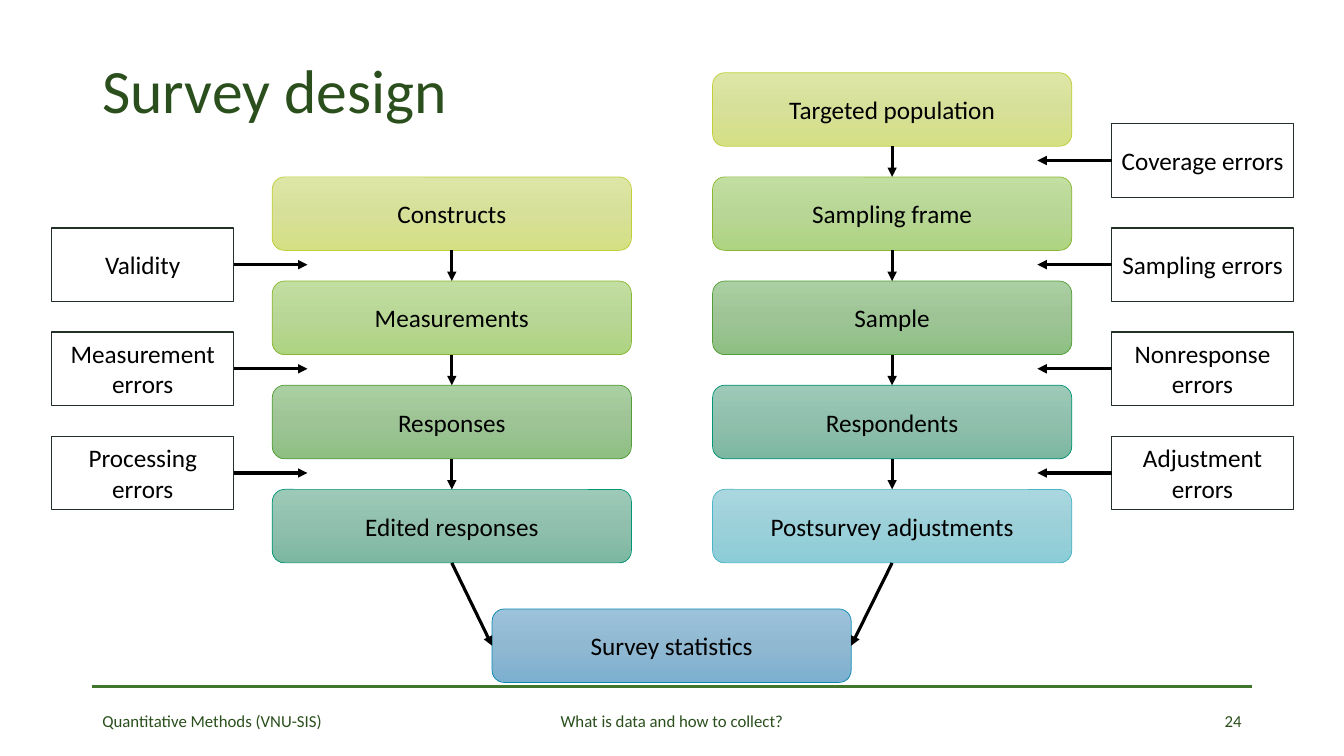
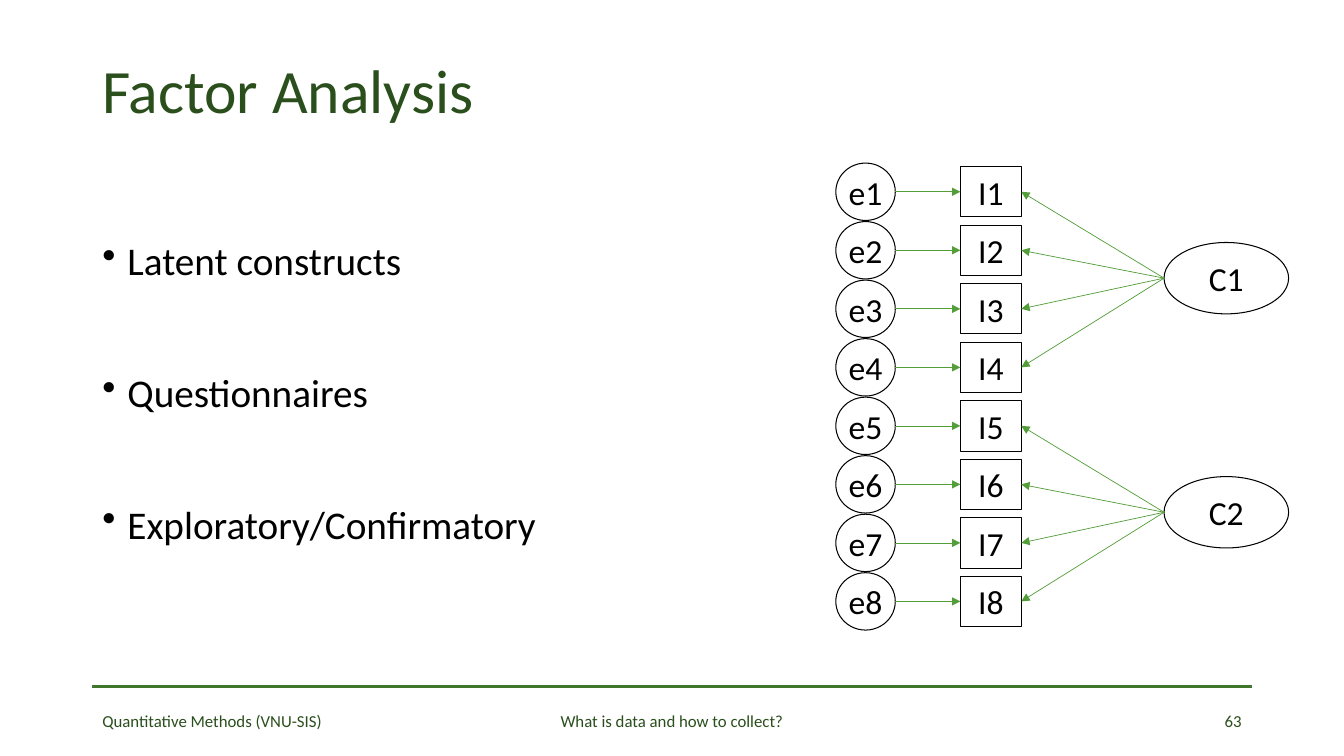
from copy import deepcopy

from pptx import Presentation
from pptx.dml.color import RGBColor
from pptx.enum.shapes import MSO_CONNECTOR, MSO_SHAPE
from pptx.enum.text import MSO_ANCHOR, PP_ALIGN
from pptx.oxml.ns import qn
from pptx.oxml.xmlchemy import OxmlElement
from pptx.util import Pt

STRAIGHT = MSO_CONNECTOR.STRAIGHT
RECTANGLE, ROUNDED, OVAL = MSO_SHAPE.RECTANGLE, MSO_SHAPE.ROUNDED_RECTANGLE, MSO_SHAPE.OVAL
TOP, MIDDLE = MSO_ANCHOR.TOP, MSO_ANCHOR.MIDDLE
LEFT, CENTER, RIGHT = PP_ALIGN.LEFT, PP_ALIGN.CENTER, PP_ALIGN.RIGHT
TOP_SIDE, LEFT_SIDE, BOTTOM_SIDE, RIGHT_SIDE = range(4)

FONT = "Calibri"
BLACK, DARK_GREEN, RULE_GREEN, LEAF_GREEN = "000000", "2A4F1C", "3F762B", "549E39"
LABEL_BORDER = "223028"
LIME = (["DDE6A6", "D7E098", "D4E084"], "C0CF3A")
GRASS = (["C2DFA1", "B8D695", "AED481"], "8AB833")
LEAF = (["AACFA2", "9EC496", "8DBF82"], LEAF_GREEN)
TEAL = (["9DCAB8", "90C0AD", "7CB7A1"], "029676")
AQUA = (["AAD7DF", "9CD0D9", "8ACCD7"], "4AB5C4")
BLUE = (["9DC3DC", "90B8D1", "7CAFCF"], "0989B1")


def rgb(value):
    return RGBColor.from_string(value)


class Deck:
    """Holds the shared style and the slide being drawn."""

    def __init__(self):
        self.show = Presentation()
        self.show.slide_width, self.show.slide_height = Pt(960), Pt(540)
        self.shapes = None

    def new_slide(self, title, number):
        self.shapes = self.show.slides.add_slide(self.show.slide_layouts[6]).shapes
        self.line((66, 490.5), (894, 490.5), RULE_GREEN, 2.25)
        heading = self.text(title, 66, 29, 828, 75, 44, DARK_GREEN)
        heading.paragraphs[0].line_spacing = 0.9
        for words, left, width, align in [
            ("Quantitative Methods (VNU-SIS)", 66, 181, LEFT),
            ("What is data and how to collect?", 274, 412, CENTER),
            (number, 678, 216, RIGHT),
        ]:
            self.text(words, left, 500.4, width, 28.8, 12, DARK_GREEN, align)

    def fill_frame(self, frame, words, size, colour, align, anchor=MIDDLE):
        frame.word_wrap = True
        frame.vertical_anchor = anchor
        frame.text = words
        for paragraph in frame.paragraphs:
            paragraph.alignment = align
            for run in paragraph.runs:
                run.font.name, run.font.size = FONT, Pt(size)
                run.font.color.rgb = rgb(colour)
        return frame

    def text(self, words, left, top, width, height, size, colour, align=LEFT, anchor=MIDDLE):
        box = self.shapes.add_textbox(Pt(left), Pt(top), Pt(width), Pt(height))
        return self.fill_frame(box.text_frame, words, size, colour, align, anchor)

    def bullets(self, items, left, top, width, height):
        frame = self.text("\n".join(items), left, top, width, height, 28, BLACK, anchor=TOP)
        for index, paragraph in enumerate(frame.paragraphs):
            paragraph.line_spacing = 2.5
            paragraph.space_before = Pt(10 if index else 0)
            properties = paragraph._p.get_or_add_pPr()
            properties.set("marL", str(Pt(18)))
            properties.set("indent", str(-Pt(18)))
            bullet = OxmlElement("a:buChar")
            bullet.set("char", "•")
            properties.append(bullet)

    def node(self, kind, words, left, top, width, height, size, border, weight, stops=None):
        node = self.shapes.add_shape(kind, Pt(left), Pt(top), Pt(width), Pt(height))
        node.shadow.inherit = False
        node.line.color.rgb, node.line.width = rgb(border), Pt(weight)
        if stops:
            self.shade(node, stops)
        else:
            node.fill.background()
        self.fill_frame(node.text_frame, words, size, BLACK, CENTER)
        return node

    def shade(self, node, stops):
        node.fill.gradient()
        node.fill.gradient_angle = 270
        stop_list = node._element.spPr.find(qn("a:gradFill")).find(qn("a:gsLst"))
        stop_list.insert(1, deepcopy(stop_list[0]))
        for index, (stop, colour) in enumerate(zip(node.fill.gradient_stops, stops)):
            stop.position, stop.color.rgb = index / 2, rgb(colour)

    def stage(self, words, left, top, palette):
        stops, border = palette
        return self.node(ROUNDED, words, left, top, 256.5, 52.5, 18, border, 0.5, stops)

    def symbol(self, kind, words, left, top, width, height):
        symbol = self.node(kind, words, left, top, width, height, 24, BLACK, 0.75)
        frame = symbol.text_frame
        frame.margin_left = frame.margin_right = frame.margin_top = frame.margin_bottom = 0
        return symbol

    def line(self, start, end, colour, weight):
        line = self.shapes.add_connector(STRAIGHT, *map(Pt, start + end))
        line.line.color.rgb, line.line.width = rgb(colour), Pt(weight)
        line._element.spPr.append(OxmlElement("a:effectLst"))
        return line

    def arrow(self, start, end, colour=BLACK, weight=2.25):
        joined = [not isinstance(place, (int, float)) for place, _ in (start, end)]
        arrow = self.line((0, 0) if joined[0] else start, (0, 0) if joined[1] else end, colour, weight)
        if joined[0]:
            arrow.begin_connect(*start)
        if joined[1]:
            arrow.end_connect(*end)
        head = OxmlElement("a:tailEnd")
        head.set("type", "triangle")
        arrow._element.spPr.find(qn("a:ln")).append(head)


def survey_design(deck):
    deck.new_slide("Survey design", "24")
    first_top, pitch = 52, 74.4
    statistics = deck.stage("Survey statistics", 351.5, 435, BLUE)
    measurement = [("Constructs", LIME), ("Measurements", GRASS), ("Responses", LEAF),
                   ("Edited responses", TEAL)]
    representation = [("Targeted population", LIME), ("Sampling frame", GRASS), ("Sample", LEAF),
                      ("Respondents", TEAL), ("Postsurvey adjustments", AQUA)]
    for stages, left, first_row, side in [
        (measurement, 194.5, 1, LEFT_SIDE),
        (representation, 509, 0, RIGHT_SIDE),
    ]:
        column = [deck.stage(words, left, first_top + pitch * row, palette)
                  for row, (words, palette) in enumerate(stages, first_row)]
        for upper, lower in zip(column, column[1:]):
            deck.arrow((upper, BOTTOM_SIDE), (lower, TOP_SIDE))
        deck.arrow((column[-1], BOTTOM_SIDE), (statistics, side))

    for errors, left, first_row, side, tip in [
        (["Validity", "Measurement errors", "Processing\nerrors"], 37, 1, RIGHT_SIDE, 219.6),
        (["Coverage errors", "Sampling errors", "Nonresponse errors", "Adjustment errors"],
         794, 0, LEFT_SIDE, 741),
    ]:
        for row, words in enumerate(errors, first_row):
            top = first_top + pitch * row + 36.4
            error = deck.node(RECTANGLE, words, left, top, 130, 52.5, 18, LABEL_BORDER, 1)
            deck.arrow((error, side), (tip, top + 26.25))


def factor_analysis(deck):
    deck.new_slide("Factor Analysis", "63")
    deck.bullets(["Latent constructs", "Questionnaires", "Exploratory/Confirmatory"], 66, 115, 412, 372)
    first_middle, pitch, per_construct = 137, 41.8, 4
    for construct in range(2):
        first_item = construct * per_construct
        construct_middle = first_middle + pitch * (first_item + 1.5) - 1
        deck.symbol(OVAL, f"C{construct + 1}", 831.5, construct_middle - 25.5, 89, 51)
        for index in range(first_item, first_item + per_construct):
            middle = first_middle + pitch * index
            deck.symbol(OVAL, f"e{index + 1}", 597, middle - 20.5, 42.5, 41)
            item = deck.symbol(RECTANGLE, f"I{index + 1}", 686, middle - 18, 43.5, 36)
            deck.arrow((639.5, middle), (item, LEFT_SIDE), LEAF_GREEN, 0.5)
            deck.arrow((831.5, construct_middle), (item, RIGHT_SIDE), LEAF_GREEN, 0.5)


def main():
    deck = Deck()
    survey_design(deck)
    factor_analysis(deck)
    deck.show.save("out.pptx")


if __name__ == "__main__":
    main()
